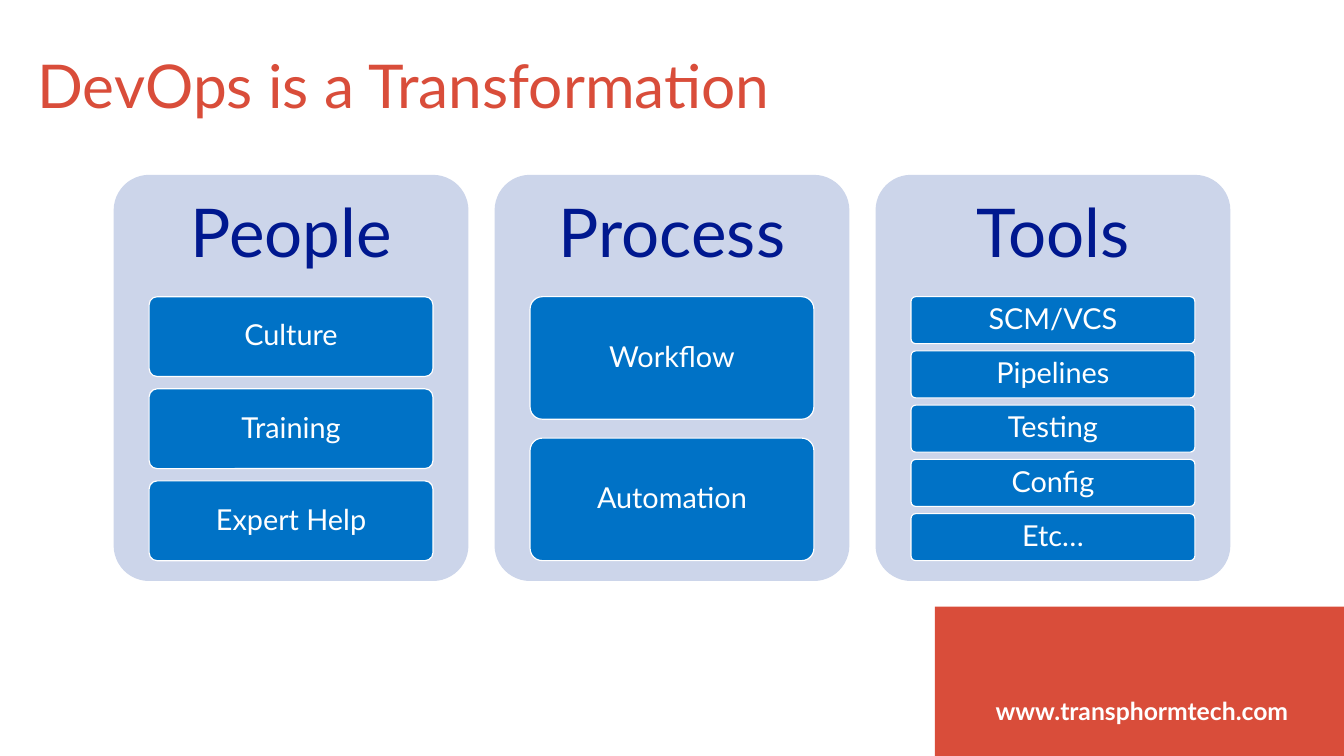
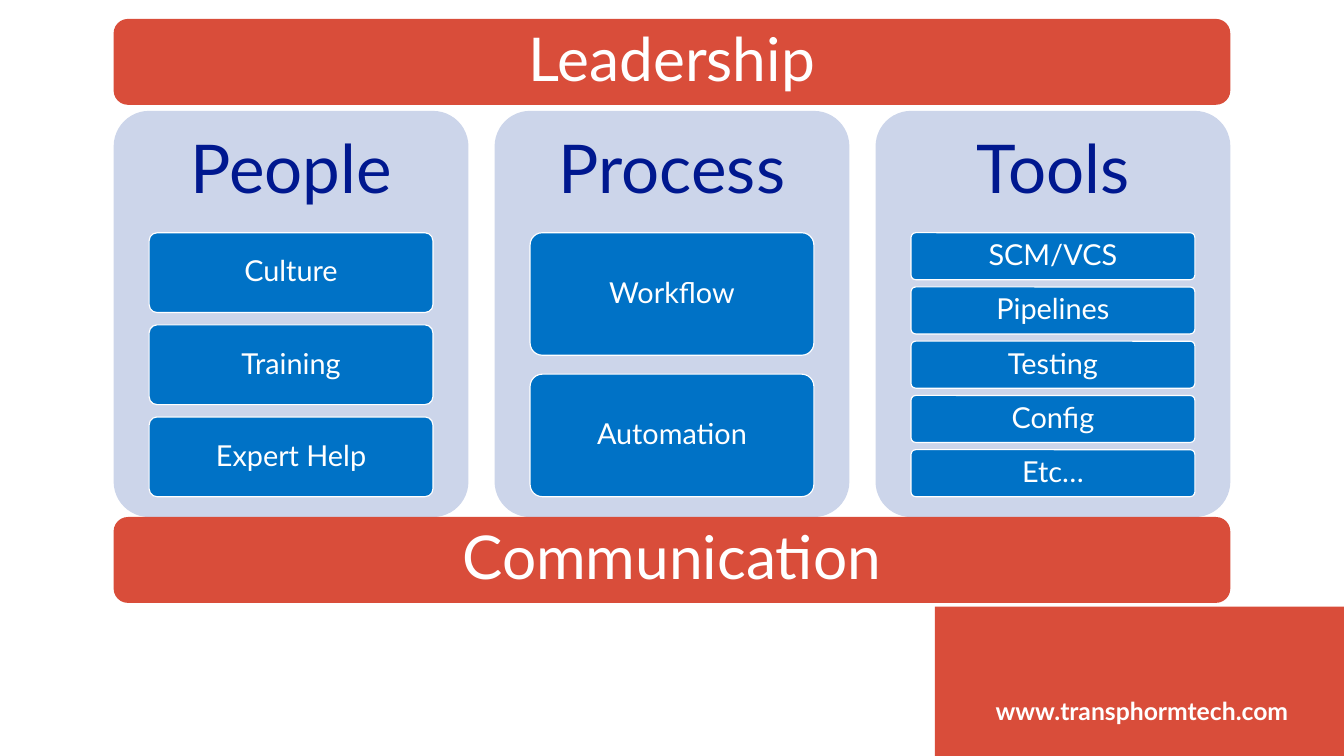
"""Build two slides on DevOps as a transformation of people, process and tools."""
import dataclasses
import typing

import pptx
import pptx.dml.color
import pptx.enum.shapes
import pptx.enum.text
import pptx.util

Pt = pptx.util.Pt
RGBColor = pptx.dml.color.RGBColor
Shapes = pptx.enum.shapes.MSO_SHAPE
Anchor = pptx.enum.text.MSO_ANCHOR
Align = pptx.enum.text.PP_ALIGN

RED = RGBColor(0xD9, 0x4D, 0x3A)
NAVY = RGBColor(0x00, 0x18, 0x8F)
BLUE = RGBColor(0x00, 0x72, 0xC6)
PALE = RGBColor(0xCC, 0xD5, 0xEA)
WHITE = RGBColor(0xFF, 0xFF, 0xFF)

FONT = "Lato"
SLIDE_WIDTH, SLIDE_HEIGHT = 979.2, 550.8
PILLARS_LEFT, PILLARS_WIDTH = 82.8, 813.6
PILLAR_WIDTH, PILLAR_HEIGHT = 258.5, 295.9
HEADING_SHARE, CARDS_SHARE = 0.3, 0.65
CARD_MARGIN_SHARE = 0.1
CARD_GAP_SHARE = 2 / 13


class Box(typing.NamedTuple):
    left: float
    top: float
    width: float
    height: float

    def lengths(self) -> list[int]:
        return [Pt(value) for value in self]


@dataclasses.dataclass(frozen=True)
class TextStyle:
    size: float
    color: RGBColor
    inset_x: float
    inset_y: float
    align: Align = Align.CENTER
    anchor: Anchor = Anchor.MIDDLE
    bold: bool = False
    space_after: float = 0


@dataclasses.dataclass(frozen=True)
class Pillar:
    heading: str
    cards: tuple[str, ...]


TITLE = TextStyle(44, RED, 11.5, 7.2, Align.LEFT, Anchor.TOP)
ADDRESS = TextStyle(18, WHITE, 14.4, 11.5, anchor=Anchor.TOP, bold=True, space_after=6)
HEADING = TextStyle(49, NAVY, 14.4, 14.4)
CARD = TextStyle(21, WHITE, 6, 4.5)
BAND = TextStyle(44, WHITE, 14.4, 11.5)

PILLARS = (
    Pillar("People", ("Culture", "Training", "Expert Help")),
    Pillar("Process", ("Workflow", "Automation")),
    Pillar("Tools", ("SCM/VCS", "Pipelines", "Testing", "Config", "Etc…")),
)


def write(shape, text: str, style: TextStyle) -> None:
    frame = shape.text_frame
    frame.text = text
    frame.word_wrap = True
    frame.vertical_anchor = style.anchor
    frame.margin_left = frame.margin_right = Pt(style.inset_x)
    frame.margin_top = frame.margin_bottom = Pt(style.inset_y)
    paragraph = frame.paragraphs[0]
    paragraph.alignment = style.align
    paragraph.line_spacing = 0.9
    paragraph.space_after = Pt(style.space_after)
    font = paragraph.runs[0].font
    font.name = FONT
    font.size = Pt(style.size)
    font.bold = style.bold
    font.color.rgb = style.color


def add_label(slide, box: Box, text: str, style: TextStyle) -> None:
    write(slide.shapes.add_textbox(*box.lengths()), text, style)


def add_panel(slide, box: Box, fill: RGBColor, rounding: float = 0,
              outline: RGBColor | None = None):
    kind = Shapes.ROUNDED_RECTANGLE if rounding else Shapes.RECTANGLE
    panel = slide.shapes.add_shape(kind, *box.lengths())
    panel.shadow.inherit = False
    if rounding:
        panel.adjustments[0] = rounding
    panel.fill.solid()
    panel.fill.fore_color.rgb = fill
    if outline is None:
        panel.line.fill.background()
    else:
        panel.line.color.rgb = outline
        panel.line.width = Pt(0.85)
    return panel


def add_pillar(slide, box: Box, pillar: Pillar) -> None:
    add_panel(slide, box, PALE, rounding=0.1)
    heading_height = box.height * HEADING_SHARE
    add_label(slide, box._replace(height=heading_height), pillar.heading, HEADING)
    count = len(pillar.cards)
    card_height = box.height * CARDS_SHARE / (count + (count - 1) * CARD_GAP_SHARE)
    margin = box.width * CARD_MARGIN_SHARE
    for row, name in enumerate(pillar.cards):
        top = box.top + heading_height + row * card_height * (1 + CARD_GAP_SHARE)
        card_box = Box(box.left + margin, top, box.width - 2 * margin, card_height)
        write(add_panel(slide, card_box, BLUE, 0.1, WHITE), name, CARD)


def add_pillars(slide, top: float) -> None:
    pitch = (PILLARS_WIDTH - PILLAR_WIDTH) / (len(PILLARS) - 1)
    for column, pillar in enumerate(PILLARS):
        left = PILLARS_LEFT + column * pitch
        add_pillar(slide, Box(left, top, PILLAR_WIDTH, PILLAR_HEIGHT), pillar)


def add_band(slide, top: float, text: str) -> None:
    box = Box(PILLARS_LEFT, top, PILLARS_WIDTH, 62.6)
    write(add_panel(slide, box, RED, rounding=0.1667), text, BAND)


def add_branded_slide(deck):
    slide = deck.slides.add_slide(deck.slide_layouts[6])
    slide.background.fill.solid()
    slide.background.fill.fore_color.rgb = WHITE
    add_panel(slide, Box(681.2, 442, 298, 108.8), RED)
    add_label(slide, Box(692, 499.7, 280, 43.2), "www.transphormtech.com", ADDRESS)
    return slide


def main() -> None:
    deck = pptx.Presentation()
    deck.slide_width, deck.slide_height = Pt(SLIDE_WIDTH), Pt(SLIDE_HEIGHT)

    transformation = add_branded_slide(deck)
    add_label(transformation, Box(15.8, 33.8, 645, 62.6),
              "DevOps is a Transformation", TITLE)
    add_pillars(transformation, 127.4)

    support = add_branded_slide(deck)
    add_pillars(support, 80.8)
    add_band(support, 376.7, "Communication")
    add_band(support, 13.8, "Leadership")

    deck.save("out.pptx")


if __name__ == "__main__":
    main()
